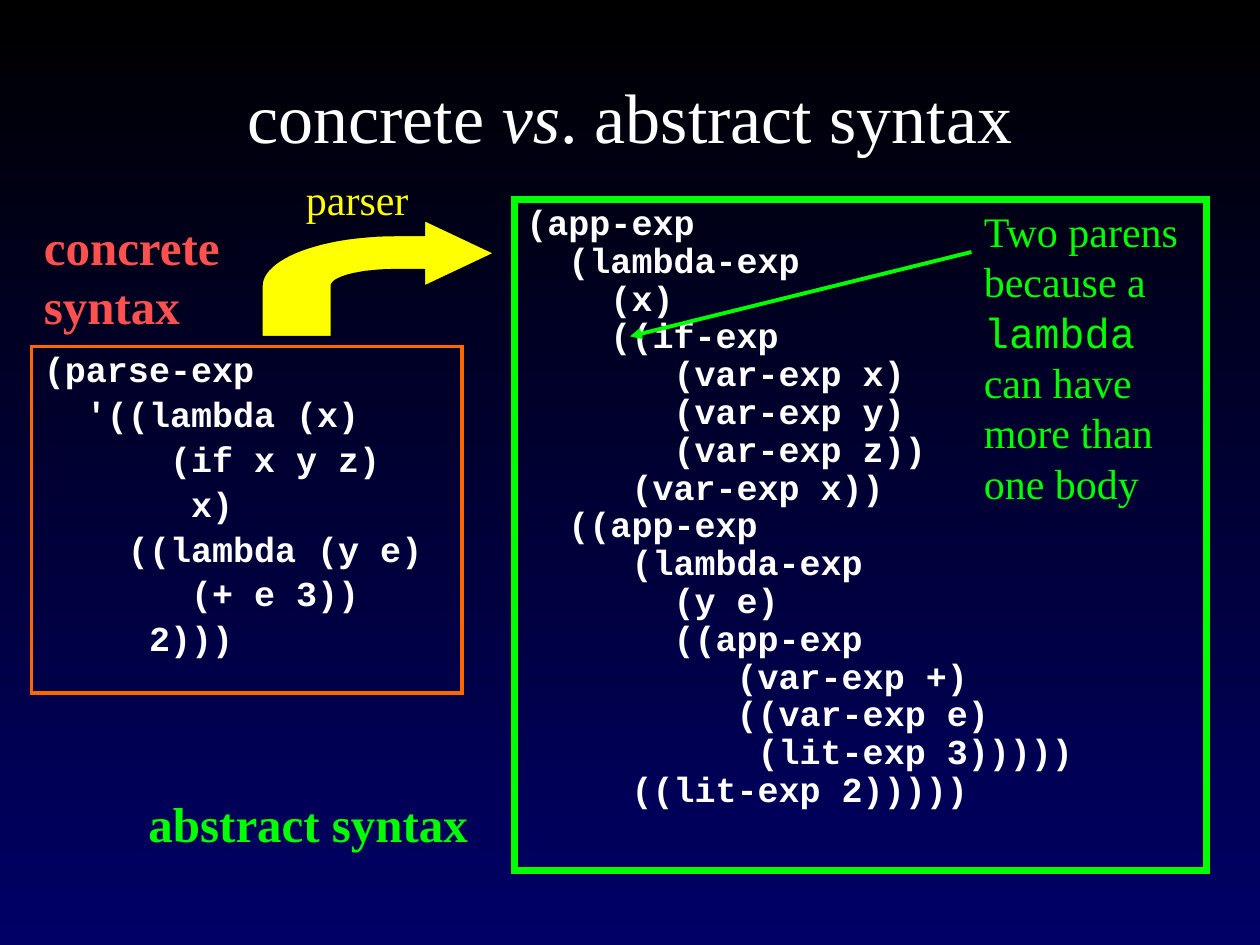
import math

import pptx
import pptx.dml.color
import pptx.enum.shapes
import pptx.enum.text
import pptx.oxml
import pptx.oxml.ns
import pptx.util

Inches, Pt = pptx.util.Inches, pptx.util.Pt
RGBColor = pptx.dml.color.RGBColor
MSO_ANCHOR = pptx.enum.text.MSO_ANCHOR
PP_ALIGN = pptx.enum.text.PP_ALIGN

BLACK = RGBColor(0x00, 0x00, 0x00)
NAVY = RGBColor(0x00, 0x00, 0x66)
WHITE = RGBColor(0xFF, 0xFF, 0xFF)
ORANGE = RGBColor(0xFF, 0x66, 0x00)
RED = RGBColor(0xFF, 0x50, 0x50)
GREEN = RGBColor(0x00, 0xFF, 0x00)
YELLOW = RGBColor(0xFF, 0xFF, 0x00)

SERIF, MONO = "Times New Roman", "Courier New"
CODE = {"name": MONO, "size": Pt(20), "bold": True}
LABEL = {"name": SERIF, "size": Pt(28), "bold": True}
NOTE = {"name": SERIF, "size": Pt(24)}
UNITS = 1000  # freeform units per inch

CONCRETE_CODE = """\
(parse-exp
  '((lambda (x)
      (if x y z)
       x)
    ((lambda (y e)
       (+ e 3))
     2)))"""

ABSTRACT_CODE = """\
(app-exp
  (lambda-exp
    (x)
    ((if-exp
       (var-exp x)
       (var-exp y)
       (var-exp z))
     (var-exp x))
  ((app-exp
     (lambda-exp
       (y e)
       ((app-exp
          (var-exp +)
          ((var-exp e)
           (lit-exp 3)))))
     ((lit-exp 2)))))"""


def add_run(p, text, color, fmt):
    r = p.add_run()
    r.text = text
    r.font.color.rgb = color
    for key, value in fmt.items():
        setattr(r.font, key, value)


def append_xml(parent, tag, attrs=""):
    ns = pptx.oxml.ns.nsdecls("a")
    parent.append(pptx.oxml.parse_xml(f"<a:{tag} {ns} {attrs}/>"))


def set_background(s):
    fill = s.background.fill
    fill.gradient()
    fill.gradient_angle = 270
    for stop, color in zip(fill.gradient_stops, (BLACK, NAVY)):
        stop.color.rgb = color


def add_title(s, runs):
    sp = s.shapes.title
    sp.left, sp.top = Inches(0.75), Inches(0.58)
    sp.width, sp.height = Inches(8.5), Inches(0.67)
    tf = sp.text_frame
    tf.auto_size = pptx.enum.text.MSO_AUTO_SIZE.NONE
    tf.vertical_anchor = MSO_ANCHOR.MIDDLE
    p = tf.paragraphs[0]
    p.alignment = PP_ALIGN.CENTER
    for text, italic in runs:
        add_run(p, text, WHITE, {"name": SERIF, "size": Pt(40), "italic": italic})


def add_text(s, box, runs, color):
    sp = s.shapes.add_textbox(*map(Inches, box))
    sp.text_frame.word_wrap = True
    for text, fmt in runs:
        add_run(sp.text_frame.paragraphs[0], text, color, fmt)


def add_code(s, box, code, border, width, gap):
    sp = s.shapes.add_shape(pptx.enum.shapes.MSO_SHAPE.RECTANGLE, *map(Inches, box))
    sp.shadow.inherit = False
    sp.fill.background()
    sp.line.color.rgb = border
    sp.line.width = Pt(width)
    append_xml(sp.line._get_or_add_ln(), "miter", 'lim="800000"')
    tf = sp.text_frame
    tf.word_wrap = True
    tf.vertical_anchor = MSO_ANCHOR.TOP
    for i, line in enumerate(code.splitlines()):
        p = tf.add_paragraph() if i else tf.paragraphs[0]
        p.alignment = PP_ALIGN.LEFT
        p.line_spacing = 0.9
        p.space_before = Pt(gap if i else 0)
        add_run(p, line, WHITE, CODE)


def quarter_arc(cx, cy, rx, ry, start, end, steps=24):
    """Points on a quarter ellipse, angles in degrees."""
    angles = [math.radians(start + (end - start) * i / steps) for i in range(steps + 1)]
    return [(cx + rx * math.cos(a), cy - ry * math.sin(a)) for a in angles]


def add_bent_arrow(s):
    cx, cy = 3.14, 2.27
    points = [(3.92, 2.01), (3.37, 1.75), (3.37, 1.87)]
    points += quarter_arc(cx, cy, 1.06, 0.4, 90, 180)
    points += [(2.08, 2.67), (2.63, 2.67)]
    points += quarter_arc(cx, cy, 0.51, 0.13, 180, 90)
    points += [(3.37, 2.14), (3.37, 2.27)]
    # Freeform points are whole numbers, so work in fine units
    points = [(round(x * UNITS), round(y * UNITS)) for x, y in points]
    fb = s.shapes.build_freeform(*points[0], scale=Inches(1) / UNITS)
    fb.add_line_segments(points[1:], close=True)
    sp = fb.convert_to_shape()
    sp.shadow.inherit = False
    sp.fill.solid()
    sp.fill.fore_color.rgb = YELLOW
    sp.line.color.rgb = BLACK
    sp.line.width = Pt(0.75)


def add_pointer(s, start, end):
    cx = s.shapes.add_connector(
        pptx.enum.shapes.MSO_CONNECTOR.STRAIGHT, *map(Inches, start + end))
    cx.line.color.rgb = GREEN
    cx.line.width = Pt(2.25)
    append_xml(cx.line._get_or_add_ln(), "tailEnd", 'type="triangle"')
    append_xml(cx._element.spPr, "effectLst")


def main():
    prs = pptx.Presentation()
    prs.slide_width, prs.slide_height = Inches(10), Inches(7.5)
    s = prs.slides.add_slide(prs.slide_layouts[5])
    set_background(s)
    add_title(s, [("concrete ", False), ("vs", True), (". abstract syntax", False)])

    # The two syntaxes
    add_code(s, (0.25, 2.75, 3.42, 2.75), CONCRETE_CODE, ORANGE, 2.25, 4)
    add_code(s, (4.08, 1.58, 5.5, 5.33), ABSTRACT_CODE, GREEN, 4, 0)
    add_text(s, (0.25, 1.67, 1.92, 1.04), [("concrete syntax", LABEL)], RED)
    add_text(s, (1.08, 6.25, 3.08, 0.57), [("abstract syntax", LABEL)], GREEN)

    # Parser arrow
    add_bent_arrow(s)
    add_text(s, (2.33, 1.33, 1.17, 0.5), [("parser", NOTE)], YELLOW)

    # Note on the double parenthesis
    note = [("Two parens because a ", NOTE),
            ("lambda", {**NOTE, "name": MONO}),
            (" can have more than one body", NOTE)]
    add_text(s, (7.71, 1.58, 1.92, 2.52), note, GREEN)
    add_pointer(s, (7.71, 2), (5, 2.67))

    prs.save("out.pptx")


if __name__ == "__main__":
    main()
